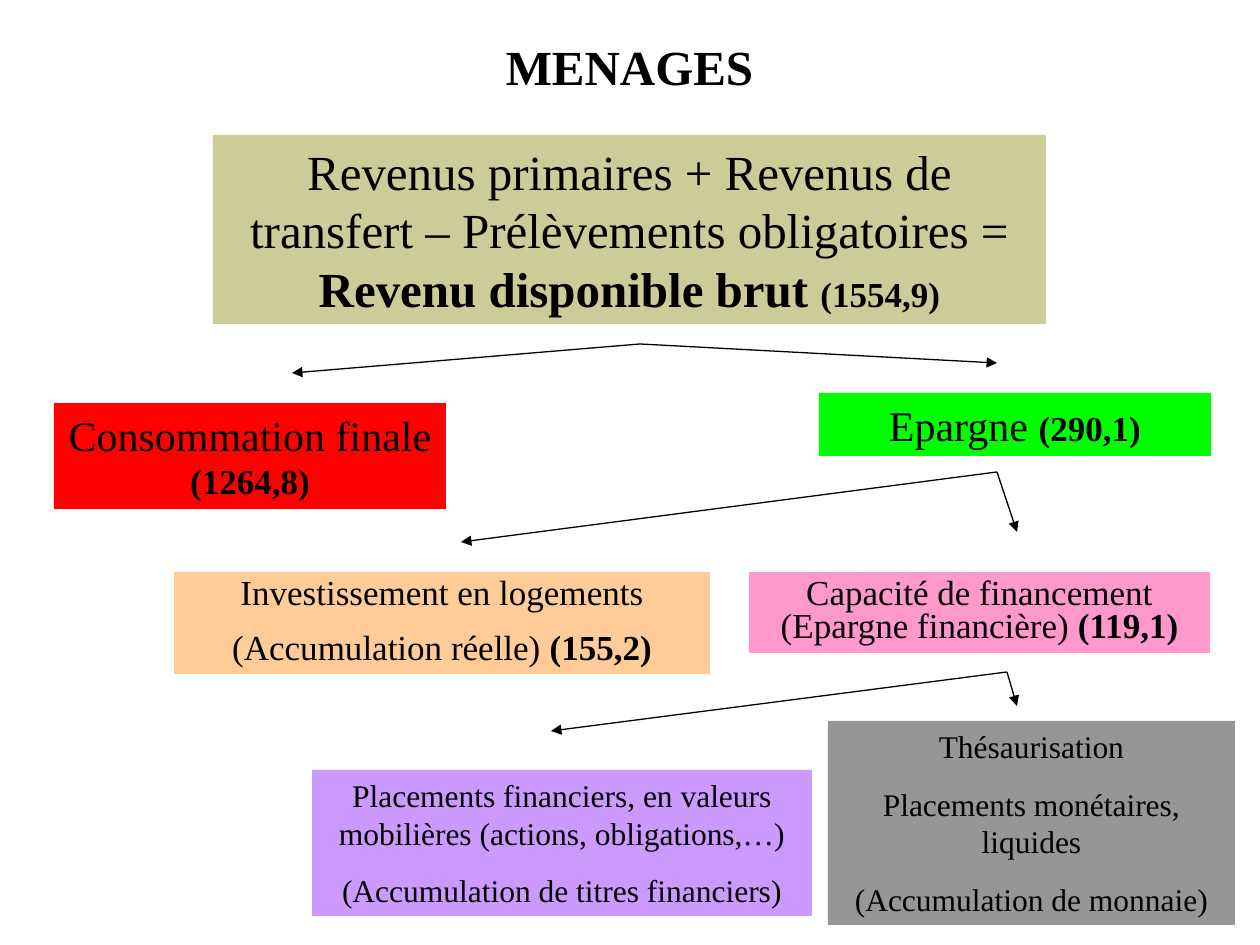
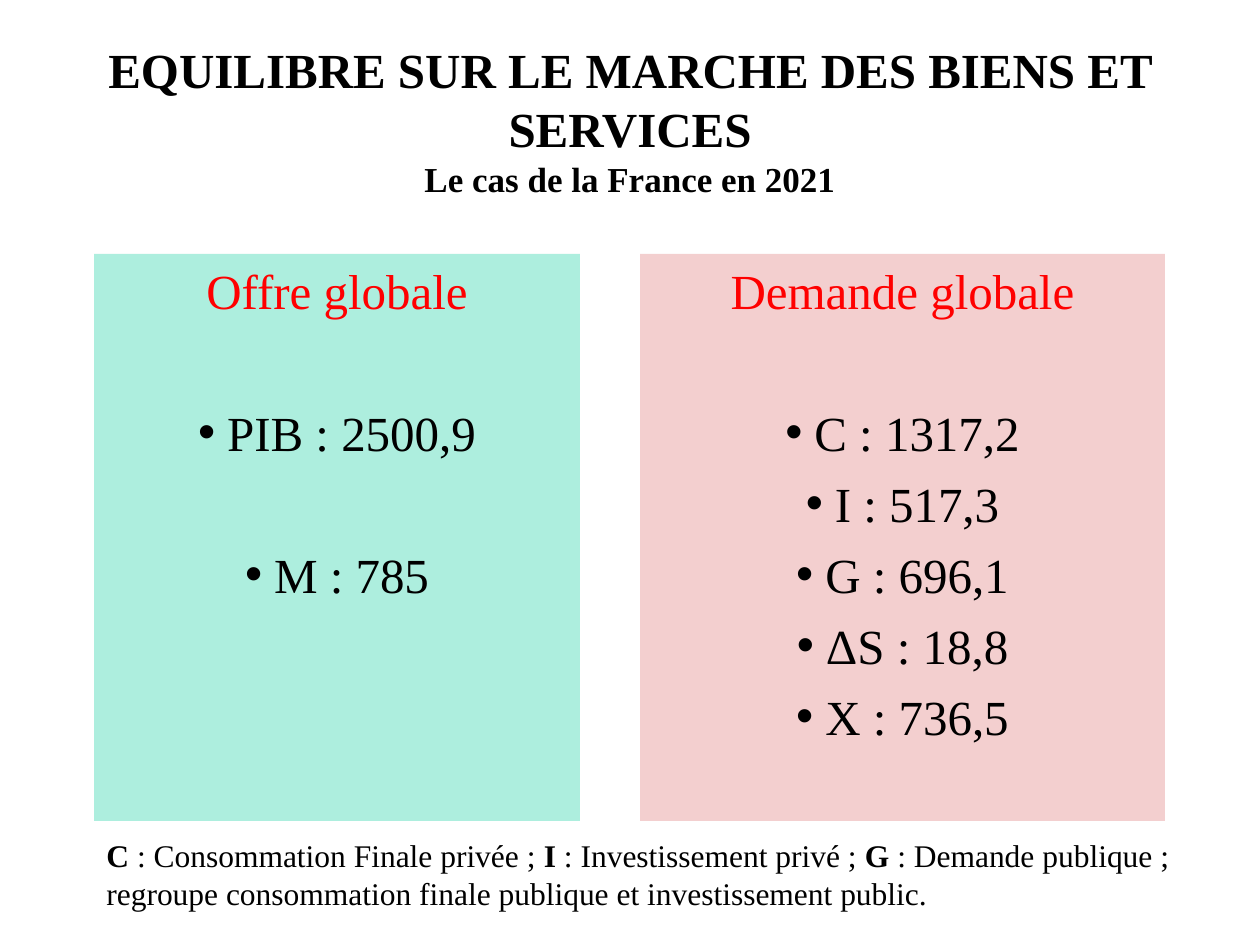
from dataclasses import dataclass

from lxml import etree
from pptx import Presentation
from pptx.dml.color import RGBColor
from pptx.enum.shapes import MSO_CONNECTOR, MSO_SHAPE
from pptx.enum.text import MSO_ANCHOR, MSO_AUTO_SIZE, PP_ALIGN
from pptx.oxml.ns import qn
from pptx.util import Emu, Pt

LEFT, CENTER = PP_ALIGN.LEFT, PP_ALIGN.CENTER
TOP, MIDDLE = MSO_ANCHOR.TOP, MSO_ANCHOR.MIDDLE
RECTANGLE, STRAIGHT = MSO_SHAPE.RECTANGLE, MSO_CONNECTOR.STRAIGHT
NO_AUTOFIT = MSO_AUTO_SIZE.NONE
TITLE_ONLY, TWO_CONTENT = 5, 3
EMU_PER_PX = 914400 / 126


@dataclass(frozen=True)
class Theme:
    font: str = "Times New Roman"
    ink: str = "000000"
    heading: str = "FF0000"
    income: str = "808000"
    consumption: str = "FF0000"
    savings: str = "00FF00"
    housing: str = "FFCC99"
    financing: str = "FF99CC"
    securities: str = "CC99FF"
    hoarding: str = "969696"
    supply: str = "00CC99"
    demand: str = "C00000"
    large: int = 28
    medium: int = 24
    small: int = 20
    tiny: int = 18
    line_width: float = 0.75
    bullet_indent: int = 29


THEME = Theme()


def px(length):
    return Emu(round(length * EMU_PER_PX))


def place(box, left, top, width, height):
    box.left, box.top, box.width, box.height = map(px, (left, top, width, height))


def bold(text, size=None):
    return text, {"bold": True, "size": size}


def set_bullet(para, bulleted):
    properties = para._p.get_or_add_pPr()
    indent = px(THEME.bullet_indent) if bulleted else 0
    properties.set("marL", str(indent))
    properties.set("indent", str(-indent))
    if bulleted:
        etree.SubElement(properties, qn("a:buChar")).set("char", "•")
    else:
        etree.SubElement(properties, qn("a:buNone"))


def write_paragraph(para, spans, *, size, color=THEME.ink, align=CENTER,
                    before=0, spacing=None, bulleted=False):
    """Fill a paragraph with spans: plain strings or (text, format) pairs; "\\n" breaks the line."""
    set_bullet(para, bulleted)
    para.alignment = align
    para.space_before = Pt(before)
    if spacing:
        para.line_spacing = spacing
    for span in spans:
        text, style = (span, {}) if isinstance(span, str) else span
        if text == "\n":
            para.add_line_break()
            continue
        run = para.add_run()
        run.text = text
        run.font.name = THEME.font
        run.font.size = Pt(style.get("size") or size)
        run.font.bold = style.get("bold", False)
        run.font.color.rgb = RGBColor.from_string(color)


def write_text(box, paragraphs, *, anchor=TOP, before=0, **style):
    frame = box.text_frame
    frame.word_wrap = True
    frame.auto_size = NO_AUTOFIT
    frame.vertical_anchor = anchor
    for index, spans in enumerate(paragraphs):
        para = frame.add_paragraph() if index else frame.paragraphs[0]
        write_paragraph(para, spans, before=before if index else 0, **style)


def fill_box(box, color, opacity=100):
    box.fill.solid()
    box.fill.fore_color.rgb = RGBColor.from_string(color)
    box.line.fill.background()
    if opacity < 100:
        swatch = box.fill._xPr.find(qn("a:solidFill"))[0]
        etree.SubElement(swatch, qn("a:alpha")).set("val", str(opacity * 1000))


def add_title(page, spans, bounds):
    title = page.shapes.title
    place(title, *bounds)
    write_text(title, [spans], anchor=MIDDLE, size=THEME.large)


def add_block(page, bounds, color, paragraphs, *, opacity=100, **style):
    block = page.shapes.add_shape(RECTANGLE, *map(px, bounds))
    block.shadow.inherit = False
    fill_box(block, color, opacity)
    write_text(block, paragraphs, **style)


def add_fork(page, apex, tips):
    """Draw one arrow from the apex to each tip."""
    for tip in tips:
        arrow = page.shapes.add_connector(STRAIGHT, *map(px, apex + tip))
        arrow.line.color.rgb = RGBColor.from_string(THEME.ink)
        arrow.line.width = Pt(THEME.line_width)
        etree.SubElement(arrow.line._get_or_add_ln(), qn("a:tailEnd")).set("type", "triangle")
        etree.SubElement(arrow._element.spPr, qn("a:effectLst"))


def add_panel(box, bounds, color, opacity, heading, items, *, first_gap, gap):
    """Turn a body placeholder into a tinted panel with a heading and centred bullets."""
    place(box, *bounds)
    fill_box(box, color, opacity)
    write_text(box, [[heading]], size=THEME.large, color=THEME.heading)
    for index, item in enumerate(items):
        write_paragraph(box.text_frame.add_paragraph(), [item], size=THEME.large,
                        before=gap if index else first_gap, bulleted=True)


def build_households(deck):
    page = deck.slides.add_slide(deck.slide_layouts[TITLE_ONLY])
    add_title(page, [bold("MENAGES")], (94, 16, 1071, 100))

    add_block(page, (213, 135, 833, 189), THEME.income,
              [["Revenus primaires + Revenus de transfert – Prélèvements obligatoires = ",
                bold("Revenu disponible brut "), bold("(1554,9)", THEME.small)]],
              opacity=40, size=THEME.large)
    add_block(page, (54, 403, 392, 106), THEME.consumption,
              [["Consommation finale ", bold("(1264,8)", THEME.small)]], size=THEME.medium)
    add_block(page, (819, 393, 392, 63), THEME.savings,
              [["Epargne ", bold("(290,1)", THEME.small)]], size=THEME.medium)
    add_block(page, (174, 572, 536, 102), THEME.housing,
              [["Investissement en logements"],
               ["(Accumulation réelle) ", bold("(155,2)")]],
              size=THEME.small, before=12.5, spacing=0.8)
    add_block(page, (749, 572, 461, 81), THEME.financing,
              [["Capacité de financement (Epargne financière) ", bold("(119,1)")]],
              size=THEME.small, spacing=0.8)
    add_block(page, (312, 770, 500, 146), THEME.securities,
              [["Placements financiers, en valeurs mobilières (actions, obligations,…)"],
               ["(Accumulation de titres financiers)"]],
              size=THEME.tiny, before=11.2)
    add_block(page, (828, 721, 407, 204), THEME.hoarding,
              [["Thésaurisation"], ["Placements monétaires, liquides"],
               ["(Accumulation de monnaie)"]],
              size=THEME.tiny, before=11.2)

    add_fork(page, (640, 344), [(292, 373), (997, 363)])
    add_fork(page, (997, 472), [(461, 542), (1017, 532)])
    add_fork(page, (1007, 672), [(551, 731), (1017, 706)])


def build_market_balance(deck):
    page = deck.slides.add_slide(deck.slide_layouts[TWO_CONTENT])
    add_title(page, [bold("EQUILIBRE SUR LE MARCHE DES BIENS ET SERVICES"), "\n",
                     bold("Le cas de la France en 2021", THEME.small)],
              (54, 35, 1152, 169))

    supply, demand = page.placeholders[1], page.placeholders[2]
    add_panel(supply, (94, 254, 486, 567), THEME.supply, 32, "Offre globale",
              ["PIB : 2500,9", "M : 785"], first_gap=47.5, gap=47.5)
    add_panel(demand, (640, 254, 525, 567), THEME.demand, 19, "Demande globale",
              ["C : 1317,2", "I : 517,3", "G : 696,1", "ΔS : 18,8", "X : 736,5"],
              first_gap=47.5, gap=7)

    legend = page.shapes.add_textbox(*map(px, (94, 830, 1166, 88)))
    write_text(legend, [[bold("C"), " : Consommation Finale privée ; ",
                         bold("I"), " : Investissement privé ; ",
                         bold("G"), " : Demande publique ; regroupe consommation finale "
                                    "publique et investissement public."]],
               size=THEME.tiny, align=LEFT)


def main():
    deck = Presentation()
    deck.slide_width, deck.slide_height = px(1260), px(945)
    build_households(deck)
    build_market_balance(deck)
    deck.save("out.pptx")


if __name__ == "__main__":
    main()
